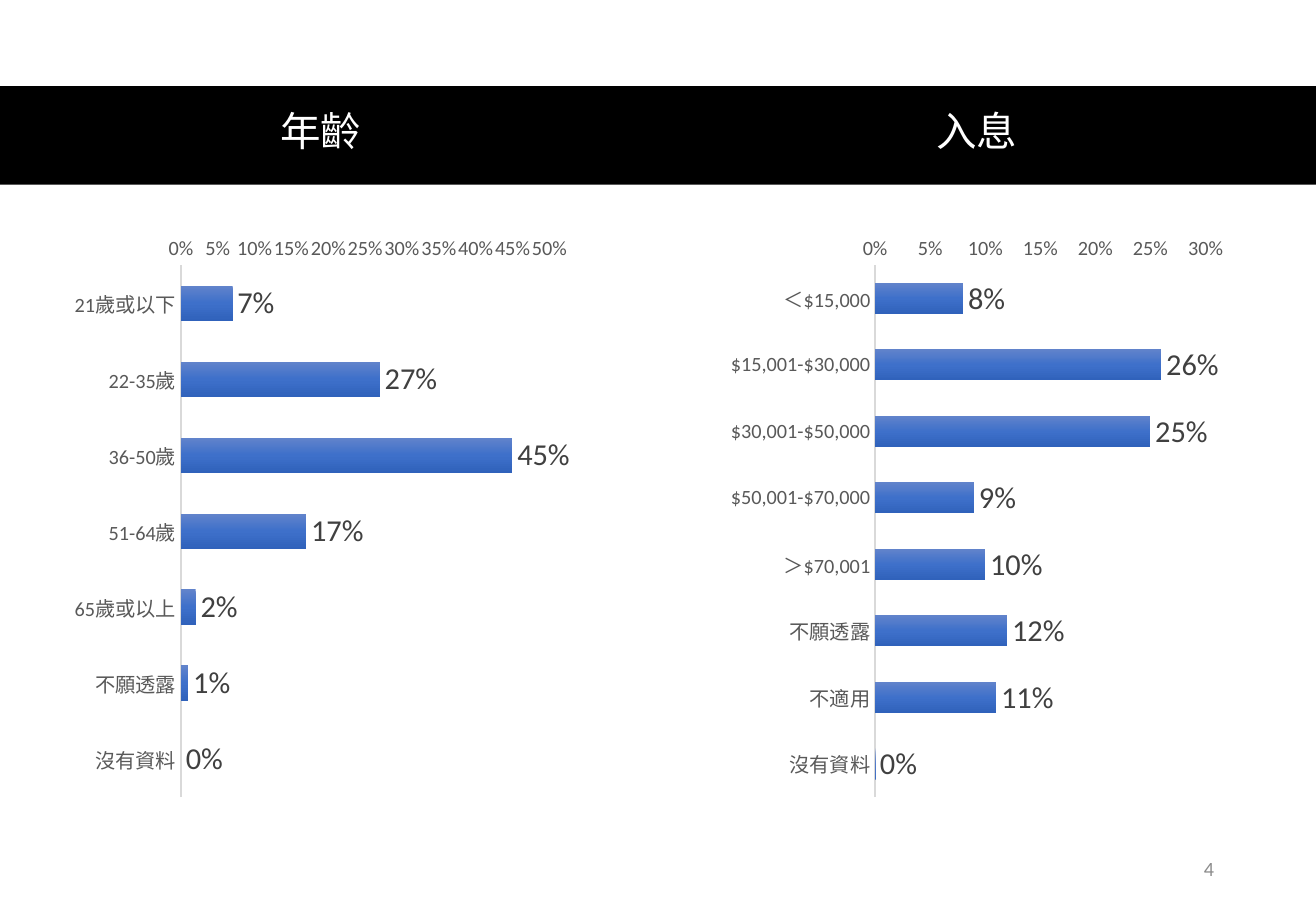
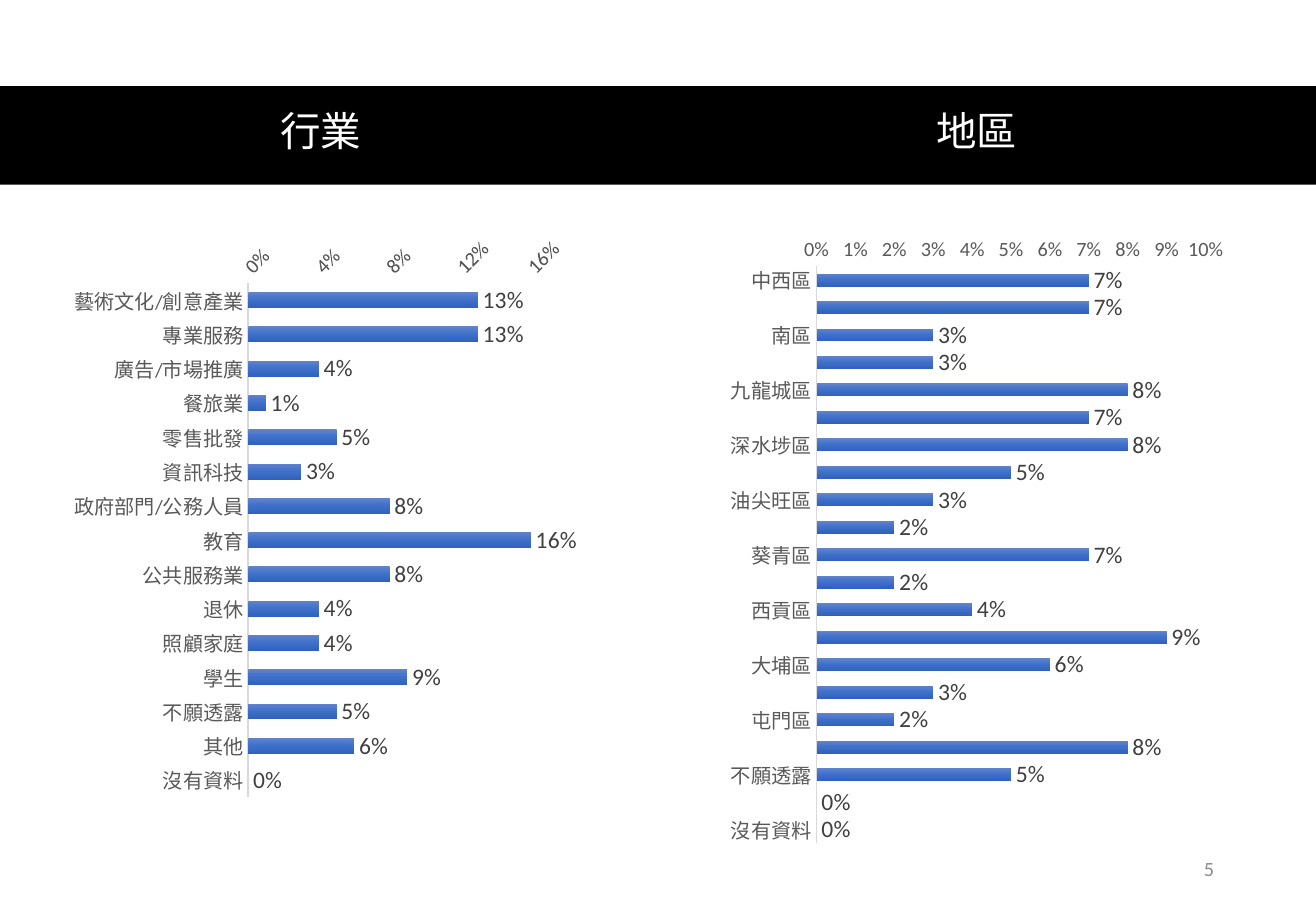
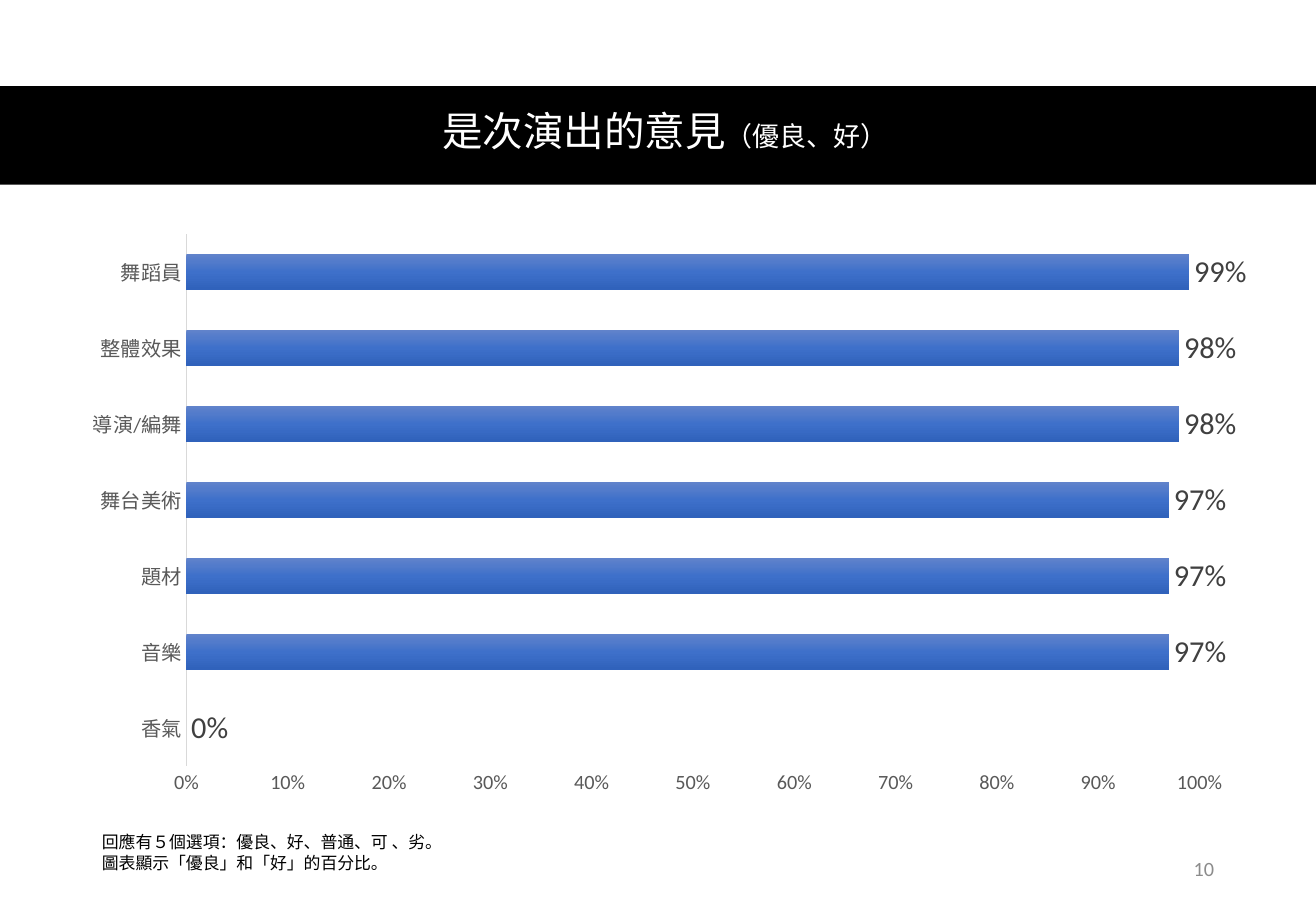
from copy import deepcopy

from pptx import Presentation
from pptx.chart.data import CategoryChartData
from pptx.dml.color import RGBColor
from pptx.enum.chart import XL_CHART_TYPE as ChartType
from pptx.enum.chart import XL_LABEL_POSITION as LabelPosition
from pptx.enum.chart import XL_TICK_MARK as TickMark
from pptx.enum.shapes import MSO_SHAPE as Preset
from pptx.enum.text import MSO_ANCHOR as Anchor
from pptx.enum.text import MSO_AUTO_SIZE as AutoSize
from pptx.enum.text import PP_ALIGN as Align
from pptx.oxml.ns import qn
from pptx.util import Emu, Pt

PX = 9144  # 100 px to the inch
SLIDE_WIDTH, SLIDE_HEIGHT = 1083, 750

COLORS = {
    "band": "000000",
    "title": "FFFFFF",
    "note": "000000",
    "number": "8C8C8C",
    "axis_text": "595959",
    "axis_line": "D9D9D9",
    "label": "404040",
    "bar_top": "6183CB",
    "bar_middle": "3E70CA",
    "bar_bottom": "3062BB",
}
BAR_STOPS = ((0, "bar_top"), (0.5, "bar_middle"), (1, "bar_bottom"))

BAND_TOP, BAND_HEIGHT = 71, 81
TITLE_TOP, TITLE_INSET = 69, 25
PANEL_LEFTS, PANEL_TOP = (53, 593), 185
PANEL_WIDTH, PANEL_HEIGHT = 422, 481

# Each panel: title, highest axis value, axis step, options, percentages
AGE = {
    "title": "年齡", "top": 50, "step": 5,
    "bars": (
        ("21歲或以下", 7), ("22-35歲", 27), ("36-50歲", 45), ("51-64歲", 17),
        ("65歲或以上", 2), ("不願透露", 1), ("沒有資料", 0),
    ),
}
INCOME = {
    "title": "入息", "top": 30, "step": 5,
    "bars": (
        ("＜$15,000", 8), ("$15,001-$30,000", 26), ("$30,001-$50,000", 25),
        ("$50,001-$70,000", 9), ("＞$70,001", 10), ("不願透露", 12),
        ("不適用", 11), ("沒有資料", 0),
    ),
}
INDUSTRY = {
    "title": "行業", "top": 16, "step": 4, "label_size": 14, "rotation": -45,
    "bars": (
        ("藝術文化/創意產業", 13), ("專業服務", 13), ("廣告/市場推廣", 4),
        ("餐旅業", 1), ("零售批發", 5), ("資訊科技", 3),
        ("政府部門/公務人員", 8), ("教育", 16), ("公共服務業", 8),
        ("退休", 4), ("照顧家庭", 4), ("學生", 9), ("不願透露", 5),
        ("其他", 6), ("沒有資料", 0),
    ),
}
# Every second district bar has no name on the axis
DISTRICT = {
    "title": "地區", "top": 10, "step": 1, "label_size": 14, "height": 521,
    "bars": (
        ("中西區", 7), ("", 7), ("南區", 3), ("", 3), ("九龍城區", 8), ("", 7),
        ("深水埗區", 8), ("", 5), ("油尖旺區", 3), ("", 2), ("葵青區", 7),
        ("", 2), ("西貢區", 4), ("", 9), ("大埔區", 6), ("", 3),
        ("屯門區", 2), ("", 8), ("不願透露", 5), ("", 0), ("沒有資料", 0),
    ),
}
OPINION = {
    "top": 100, "step": 10, "reverse": False,
    "bars": (
        ("香氣", 0), ("音樂", 97), ("題材", 97), ("舞台美術", 97),
        ("導演/編舞", 98), ("整體效果", 98), ("舞蹈員", 99),
    ),
}
NOTE = ("回應有５個選項：優良、好、普通、可 、劣。",
        "圖表顯示「優良」和「好」的百分比。")


def px(*lengths):
    return [Emu(length * PX) for length in lengths]


def rgb(key):
    return RGBColor.from_string(COLORS[key])


def apply_format(target, values):
    for name, value in values.items():
        setattr(target, name, value)


def style_font(font, size, color, name="Calibri"):
    apply_format(font, {"size": Pt(size), "name": name})
    font.color.rgb = rgb(color)


def add_text(slide, box, lines, color, font="Calibri", frame=None, paragraph=None):
    """Place lines of (text, size) runs in a text box."""
    text_frame = slide.shapes.add_textbox(*px(*box)).text_frame
    apply_format(text_frame, {"word_wrap": True, "vertical_anchor": Anchor.MIDDLE,
                              **(frame or {})})
    for index, runs in enumerate(lines):
        line = text_frame.add_paragraph() if index else text_frame.paragraphs[0]
        apply_format(line, paragraph or {})
        for text, size in runs:
            run = line.add_run()
            run.text = text
            style_font(run.font, size, color, font)


def add_title(slide, left, width, runs):
    add_text(slide, (left, TITLE_TOP, width, BAND_HEIGHT), [runs], "title", "Lato",
             paragraph={"alignment": Align.CENTER, "line_spacing": 0.9})


def add_base(presentation, number):
    """Blank slide with the black band and the page number."""
    slide = presentation.slides.add_slide(presentation.slide_layouts[6])
    band = slide.shapes.add_shape(
        Preset.RECTANGLE, *px(0, BAND_TOP, SLIDE_WIDTH, BAND_HEIGHT))
    band.shadow.inherit = False
    band.fill.solid()
    band.fill.fore_color.rgb = rgb("band")
    band.line.fill.background()
    add_text(slide, (765, 695, 244, 40), [[(str(number), 12)]], "number",
             paragraph={"alignment": Align.RIGHT})
    return slide


def fill_bars(series):
    fill = series.format.fill
    fill.gradient()
    fill.gradient_angle = 270
    stop_list = next(series._element.iter(qn("a:gsLst")))
    stop_list.append(deepcopy(stop_list[0]))
    for stop, (position, color) in zip(fill.gradient_stops, BAR_STOPS):
        stop.position = position
        stop.color.rgb = rgb(color)


def add_bar_chart(slide, box, panel):
    names, percentages = zip(*panel["bars"])
    data = CategoryChartData(number_format="0%")
    data.categories = names
    data.add_series("Series 1", [value / 100 for value in percentages])
    chart = slide.shapes.add_chart(ChartType.BAR_CLUSTERED, *px(*box), data).chart
    apply_format(chart, {"has_title": False, "has_legend": False})
    style_font(chart.font, 10, "note")

    # Axes
    category_axis, value_axis = chart.category_axis, chart.value_axis
    for axis in (category_axis, value_axis):
        apply_format(axis, {"major_tick_mark": TickMark.NONE,
                            "minor_tick_mark": TickMark.NONE,
                            "has_major_gridlines": False})
        style_font(axis.tick_labels.font, 12, "axis_text")
    category_axis.reverse_order = panel.get("reverse", True)
    category_axis.format.line.width = Pt(1)
    category_axis.format.line.color.rgb = rgb("axis_line")
    apply_format(value_axis, {"minimum_scale": 0,
                              "maximum_scale": panel["top"] / 100,
                              "major_unit": panel["step"] / 100})
    apply_format(value_axis.tick_labels, {"number_format": "0%",
                                          "number_format_is_linked": False})
    value_axis.format.line.fill.background()
    if "rotation" in panel:
        body = next(value_axis._element.iter(qn("a:bodyPr")))
        body.set("rot", str(panel["rotation"] * 60000))
        body.set("vert", "horz")

    # Bars and their labels
    plot = chart.plots[0]
    apply_format(plot, {"gap_width": 115, "overlap": -20,
                        "vary_by_categories": False, "has_data_labels": True})
    apply_format(plot.data_labels, {"show_value": True, "number_format": "0%",
                                    "number_format_is_linked": False,
                                    "position": LabelPosition.OUTSIDE_END})
    style_font(plot.data_labels.font, panel.get("label_size", 18), "label")
    fill_bars(plot.series[0])


def add_panel(slide, box, panel):
    """Bar chart in the box, with its title centred above it in the band."""
    left, _, width, _ = box
    add_title(slide, left + TITLE_INSET, width - 2 * TITLE_INSET, [(panel["title"], 24)])
    add_bar_chart(slide, box, panel)


def add_pair_slide(presentation, number, panels):
    slide = add_base(presentation, number)
    for left, panel in zip(PANEL_LEFTS, panels):
        height = panel.get("height", PANEL_HEIGHT)
        add_panel(slide, (left, PANEL_TOP, PANEL_WIDTH, height), panel)


def add_opinion_slide(presentation, number):
    slide = add_base(presentation, number)
    add_title(slide, 49, 996, [("是次演出的意見", 24), ("（優良、好）", 16)])
    add_bar_chart(slide, (57, 183, 969, PANEL_HEIGHT), OPINION)
    add_text(slide, (74, 680, 305, 44), [[(line, 10)] for line in NOTE], "note", "Arial",
             frame={"word_wrap": False, "vertical_anchor": Anchor.TOP,
                    "auto_size": AutoSize.SHAPE_TO_FIT_TEXT})


def main():
    presentation = Presentation()
    presentation.slide_width, presentation.slide_height = px(SLIDE_WIDTH, SLIDE_HEIGHT)
    add_pair_slide(presentation, 4, (AGE, INCOME))
    add_pair_slide(presentation, 5, (INDUSTRY, DISTRICT))
    add_opinion_slide(presentation, 10)
    presentation.save("out.pptx")


if __name__ == "__main__":
    main()
